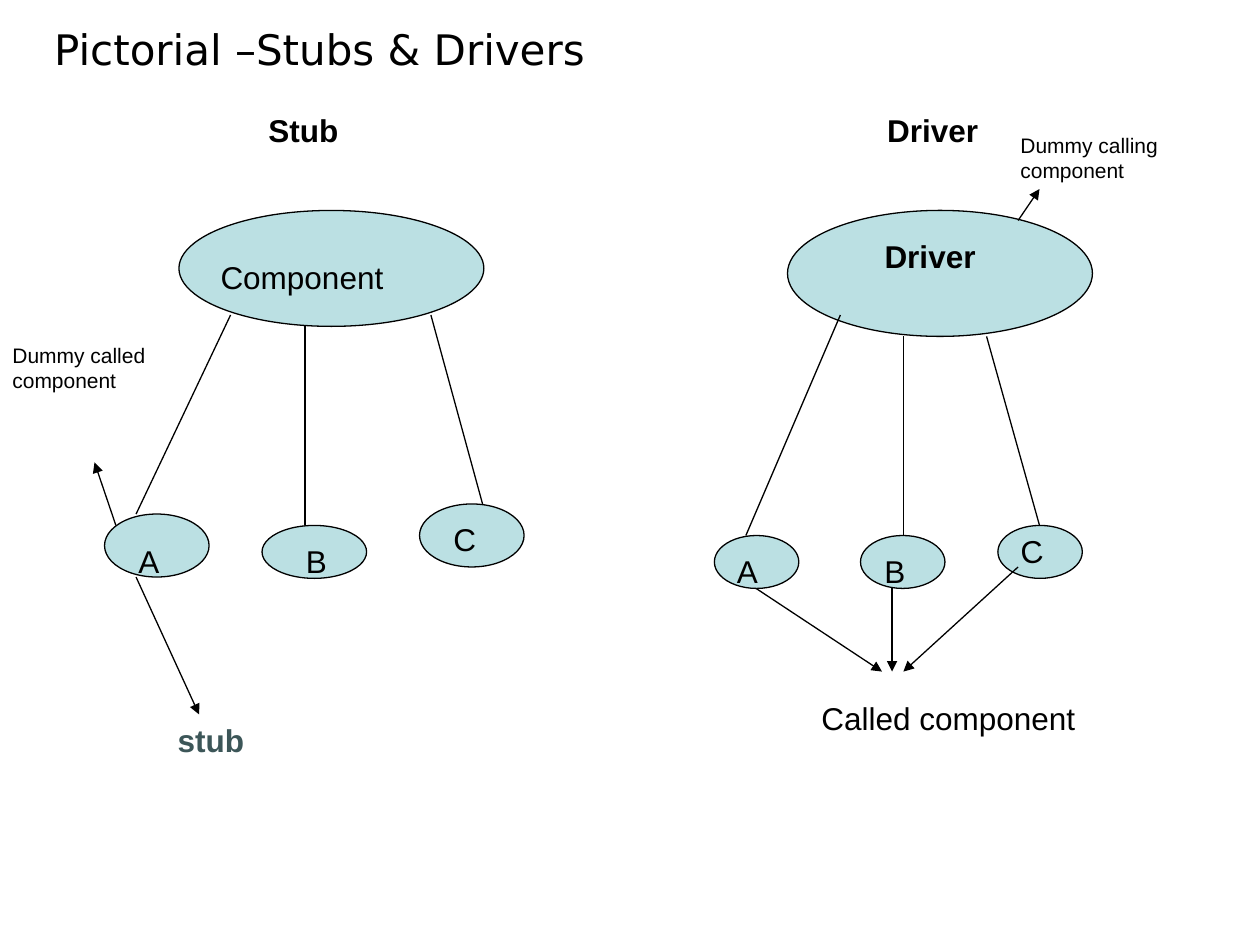
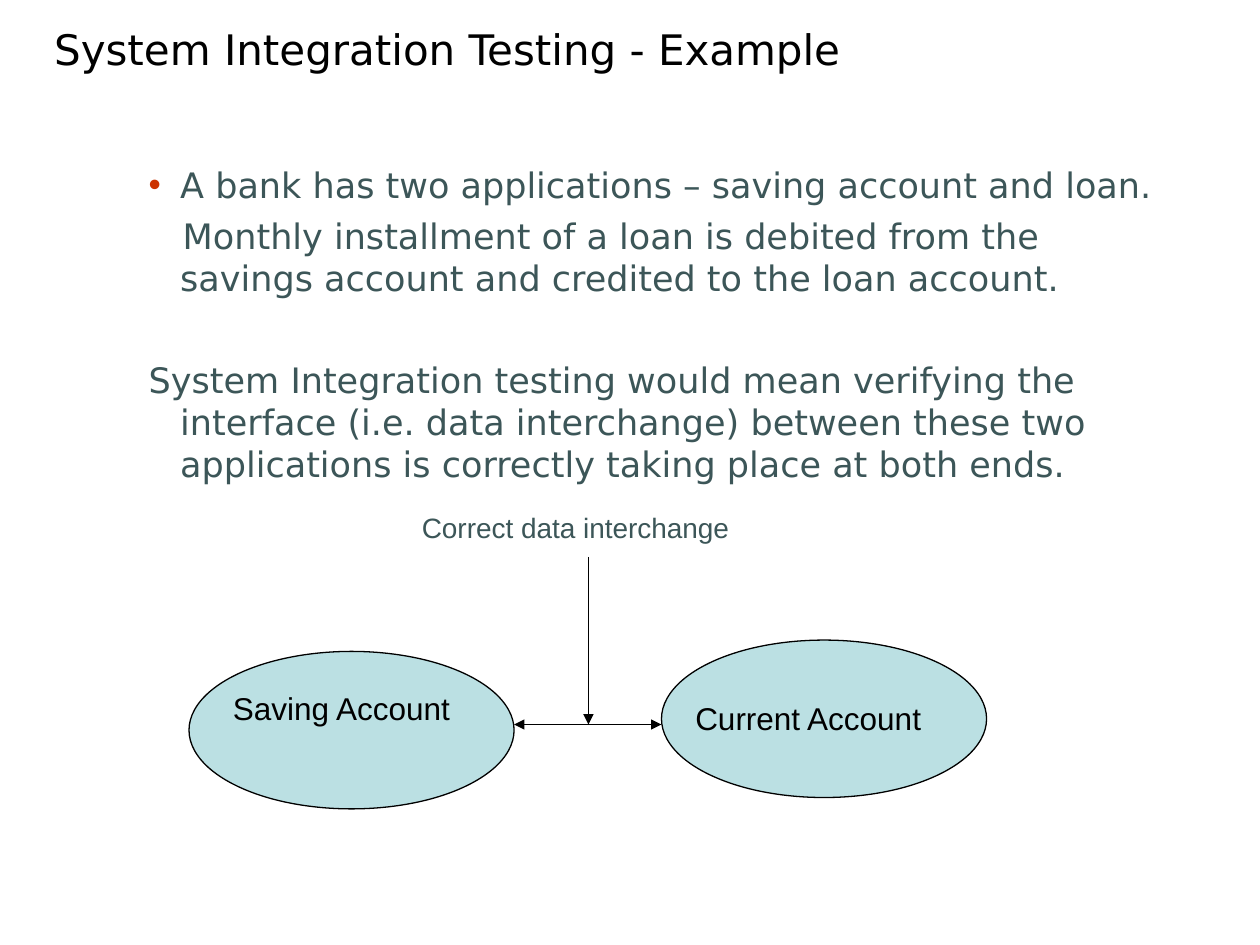
"""Build two slides on stubs, drivers and system integration testing."""
from dataclasses import dataclass
from typing import Any

from lxml import etree
from pptx import Presentation
from pptx import util as u
from pptx.dml.color import RGBColor
from pptx.enum import shapes, text
from pptx.oxml.ns import qn

BLACK, WHITE, TEAL, AQUA, RED = "000000", "FFFFFF", "3C5658", "BBE0E3", "CC3300"
SANS, HEADING = "Arial", "DejaVu Sans"
LINE_WIDTH = u.Pt(0.75)
TITLE_BOX = (0.03, 0.17, 7.31, 0.47)
BODY_BOX = (0.58, 1.25, 8.75, 5.67)
PADDING = 0.1
FRAME = {
    "word_wrap": True,
    "auto_size": text.MSO_AUTO_SIZE.NONE,
    "vertical_anchor": text.MSO_ANCHOR.TOP,
    "margin_left": u.Inches(PADDING),
    "margin_right": u.Inches(PADDING),
    "margin_top": u.Inches(0.05),
    "margin_bottom": u.Inches(0.05),
}
TITLE_FRAME = FRAME | {
    "vertical_anchor": text.MSO_ANCHOR.BOTTOM,
    "margin_left": u.Inches(0.4),
}


@dataclass(frozen=True)
class Node:
    """An ellipse that stands for a component or an account."""
    left: float
    top: float
    width: float
    height: float


@dataclass(frozen=True)
class Link:
    """A straight line with optional arrowheads."""
    start: tuple[float, float]
    end: tuple[float, float]
    head: bool = False
    tail: bool = False


@dataclass(frozen=True)
class Label:
    """A caption; indent shifts its text inside the box."""
    words: str
    left: float
    top: float
    width: float
    height: float = 0.4
    indent: float = 0
    size: float = 18
    bold: bool = False
    color: str = BLACK
    rotation: float = 0


@dataclass(frozen=True)
class Point:
    """A body paragraph; first is the indent of its first line."""
    words: str
    first: float
    before: float = 5
    bulleted: bool = False


def rgb(value: str) -> RGBColor:
    """Turn a hex string into a colour."""
    return RGBColor.from_string(value)


def box(*lengths: float) -> tuple[u.Length, ...]:
    """Turn numbers into inches."""
    return tuple(u.Inches(length) for length in lengths)


def apply(target: Any, formats: dict[str, Any]) -> None:
    """Set every format value on the target."""
    for name, value in formats.items():
        setattr(target, name, value)


def place(holder: Any, area: tuple[float, ...]) -> None:
    """Move and size a placeholder."""
    apply(holder, dict(zip(("left", "top", "width", "height"), box(*area))))


def write(paragraph: Any, words: str, font: str, size: float,
          color: str, bold: bool = False) -> None:
    """Add formatted words to a left-aligned paragraph."""
    paragraph.alignment = text.PP_ALIGN.LEFT
    run = paragraph.add_run()
    run.text = words
    apply(run.font, {"name": font, "size": u.Pt(size), "bold": bold})
    run.font.color.rgb = rgb(color)


def outline(line: Any) -> None:
    """Give a line the shared thin black stroke."""
    line.color.rgb = rgb(BLACK)
    line.width = LINE_WIDTH


def add_title(slide: Any, words: str) -> None:
    """Fill and place the slide title on a white background."""
    slide.background.fill.solid()
    slide.background.fill.fore_color.rgb = rgb(WHITE)
    title = slide.shapes.title
    place(title, TITLE_BOX)
    apply(title.text_frame, TITLE_FRAME)
    write(title.text_frame.paragraphs[0], words, HEADING, 24, BLACK)


def add_node(slide: Any, node: Node) -> None:
    """Draw one ellipse."""
    oval = slide.shapes.add_shape(
        shapes.MSO_SHAPE.OVAL, *box(node.left, node.top, node.width, node.height))
    oval.shadow.inherit = False
    oval.fill.solid()
    oval.fill.fore_color.rgb = rgb(AQUA)
    outline(oval.line)


def add_link(slide: Any, link: Link) -> None:
    """Draw one line and its arrowheads."""
    connector = slide.shapes.add_connector(
        shapes.MSO_CONNECTOR.STRAIGHT, *box(*link.start, *link.end))
    outline(connector.line)
    stroke = connector.line._get_or_add_ln()
    for tag, shown in (("a:headEnd", link.head), ("a:tailEnd", link.tail)):
        if shown:
            etree.SubElement(stroke, qn(tag), type="triangle")
    etree.SubElement(connector._element.spPr, qn("a:effectLst"))


def add_label(slide: Any, label: Label) -> None:
    """Write one caption."""
    caption = slide.shapes.add_textbox(
        *box(label.left, label.top, label.width, label.height))
    caption.rotation = label.rotation
    apply(caption.text_frame,
          FRAME | {"margin_left": u.Inches(PADDING + label.indent)})
    write(caption.text_frame.paragraphs[0], label.words, SANS, label.size,
          label.color, label.bold)


def add_diagram(slide: Any, nodes: list[Node], links: list[Link],
                labels: list[Label]) -> None:
    """Draw ellipses, then lines, then captions on top."""
    for draw, parts in ((add_node, nodes), (add_link, links), (add_label, labels)):
        for part in parts:
            draw(slide, part)


def add_points(slide: Any, points: list[Point]) -> None:
    """Fill the body placeholder with paragraphs."""
    body = slide.placeholders[1]
    place(body, BODY_BOX)
    frame = body.text_frame
    apply(frame, FRAME)
    for index, point in enumerate(points):
        paragraph = frame.add_paragraph() if index else frame.paragraphs[0]
        apply(paragraph, {"level": 1, "space_before": u.Pt(point.before)})
        write(paragraph, point.words, HEADING, 20, TEAL)
        layout = paragraph._p.get_or_add_pPr()
        layout.set("marL", str(u.Inches(0.75)))
        layout.set("indent", str(u.Inches(point.first)))
        if point.bulleted:
            tint = etree.SubElement(layout, qn("a:buClr"))
            etree.SubElement(tint, qn("a:srgbClr"), val=RED)
            etree.SubElement(layout, qn("a:buChar"), char="•")
        else:
            etree.SubElement(layout, qn("a:buNone"))


def add_stubs_and_drivers(deck: Any) -> None:
    """Build the slide that sets a stub beside a driver."""
    slide = deck.slides.add_slide(deck.slide_layouts[5])
    add_title(slide, "Pictorial –Stubs & Drivers")
    stub_nodes = [
        Node(1.42, 1.67, 2.42, 0.92),
        Node(0.83, 4.08, 0.83, 0.5),
        Node(2.08, 4.17, 0.83, 0.42),
        Node(3.33, 4, 0.83, 0.5),
    ]
    driver_nodes = [Node(6.25, 1.67, 2.42, 1)] + [
        Node(left, top, 0.67, 0.42)
        for left, top in ((5.67, 4.25), (6.83, 4.25), (7.92, 4.17))
    ]
    calls = [
        Link((1.83, 2.5), (1.08, 4.08)),
        Link((2.42, 2.58), (2.42, 4.17)),
        Link((3.42, 2.5), (3.83, 4)),
        Link((6.67, 2.5), (5.92, 4.25)),
        Link((7.17, 2.67), (7.17, 4.25)),
        Link((7.83, 2.67), (8.25, 4.17)),
    ]
    pointers = [
        Link(start, end, tail=True)
        for start, end in (
            ((6, 4.67), (7, 5.33)),
            ((7.08, 4.67), (7.08, 5.33)),
            ((8.08, 4.5), (7.17, 5.33)),
            ((1.08, 4.58), (1.58, 5.67)),
            ((0.92, 4.17), (0.75, 3.67)),
            ((8.08, 1.75), (8.25, 1.5)),
        )
    ]
    captions = [
        Label("Stub", 0.92, 0.83, 2.92, indent=1.11, bold=True),
        Label("Driver", 6.25, 0.83, 2.92, indent=0.69, bold=True),
        Label("Driver", 6.5, 1.83, 2.25, indent=0.42, bold=True),
        Label("Component", 1.58, 2, 2.42, indent=0.07),
        Label("Called component", 6.42, 5.5, 2.25),
        Label("stub", 1.17, 5.67, 2, 0.86, indent=0.14, bold=True, color=TEAL),
        Label("Dummy called component", 0, 2.67, 1.58, 0.5, size=12),
        Label("Dummy calling component", 8, 1, 1.58, 0.5, size=12),
    ]
    letters = [
        Label(letter, left, top, 0.5, rotation=rotation)
        for letter, left, top, rotation in (
            ("A", 1, 4.25, 0), ("B", 2.33, 4.25, 0), ("C", 3.5, 4.08, 0),
            ("A", 5.75, 4.33, 0), ("B", 6.92, 4.33, 0), ("C", 8, 4.17, 354.6),
        )
    ]
    add_diagram(slide, stub_nodes + driver_nodes, calls + pointers,
                captions + letters)


def add_integration_example(deck: Any) -> None:
    """Build the slide with the bank example."""
    slide = deck.slides.add_slide(deck.slide_layouts[1])
    add_title(slide, "System Integration Testing - Example")
    add_points(slide, [
        Point("A bank has two applications – saving account and loan.",
              -0.25, bulleted=True),
        Point("Monthly installment of a loan is debited from the savings "
              "account and credited to the loan account.", 0.02),
        Point("System Integration testing would mean verifying the interface "
              "(i.e. data interchange) between these two applications is "
              "correctly taking place at both ends.", -0.25, before=34),
    ])
    accounts = [Node(1.5, 5.17, 2.58, 1.25), Node(5.25, 5.08, 2.58, 1.25)]
    flows = [
        Link((4.08, 5.75), (5.25, 5.75), head=True, tail=True),
        Link((4.67, 4.42), (4.67, 5.75), tail=True),
    ]
    captions = [
        Label("Saving Account", 1.75, 5.42, 2.33),
        Label("Current Account", 5.42, 5.5, 2.33),
        Label("Correct data interchange", 3.25, 4, 3.33, 0.37, size=16, color=TEAL),
    ]
    add_diagram(slide, accounts, flows, captions)


def main() -> None:
    """Build and save the presentation."""
    deck = Presentation()
    apply(deck, {"slide_width": u.Inches(10), "slide_height": u.Inches(7.5)})
    add_stubs_and_drivers(deck)
    add_integration_example(deck)
    deck.save("out.pptx")


main()
